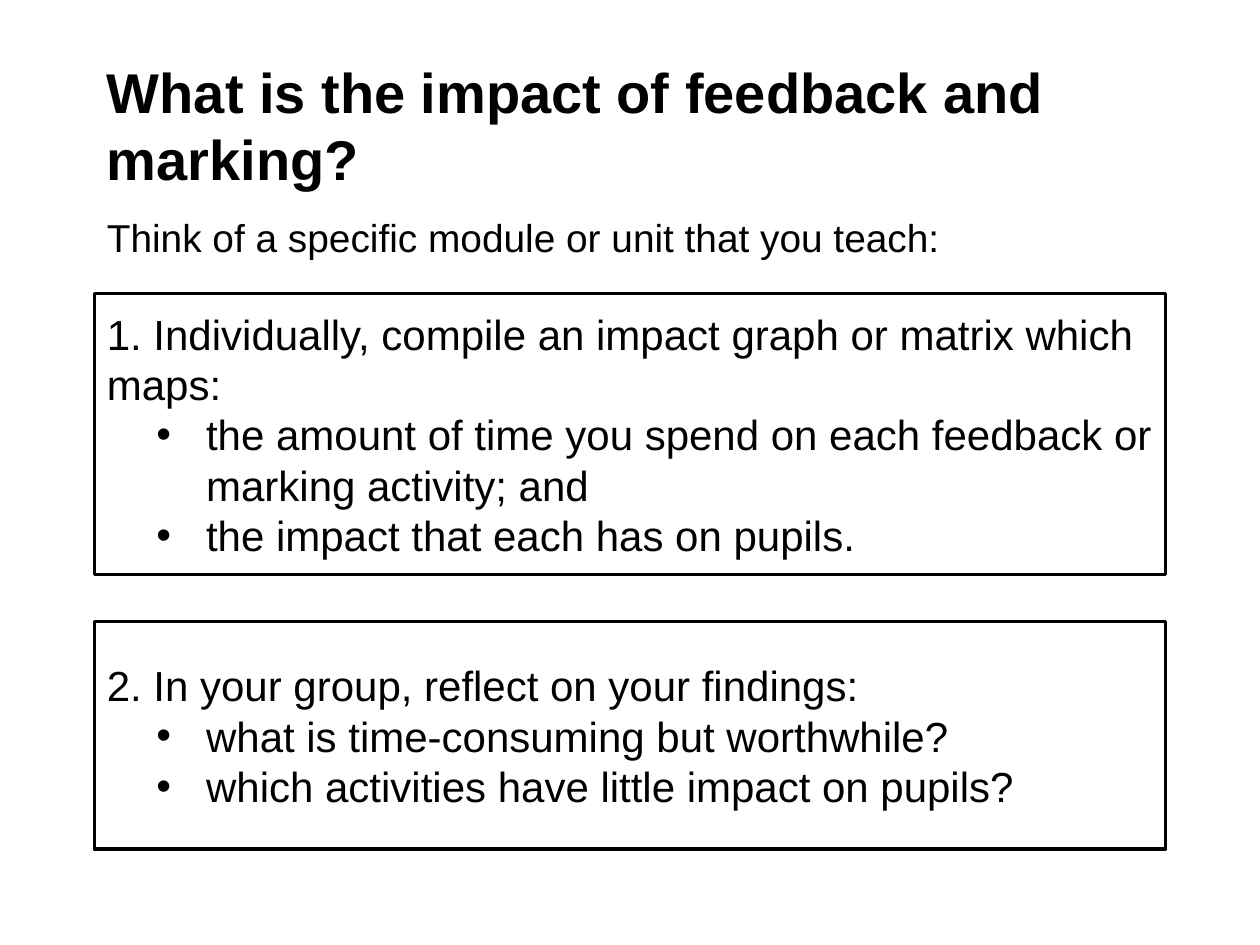
from lxml import etree
from pptx import Presentation
from pptx.dml.color import RGBColor
from pptx.enum.shapes import MSO_SHAPE
from pptx.enum.text import MSO_ANCHOR, PP_ALIGN
from pptx.oxml.ns import qn
from pptx.util import Pt

RECTANGLE = MSO_SHAPE.RECTANGLE
TOP, MIDDLE = MSO_ANCHOR.TOP, MSO_ANCHOR.MIDDLE
LEFT = PP_ALIGN.LEFT

COLORS = {"text": "000000", "border": "000000"}
FONT = "Arial"
MARGIN, WIDTH = 54, 612
BULLET_LEFT, BULLET_HANG = 56.7, 28.35


def add_bullet(p):
    p.level = 1
    pPr = p._p.get_or_add_pPr()
    pPr.set("marL", str(Pt(BULLET_LEFT)))
    pPr.set("indent", str(-Pt(BULLET_HANG)))
    color = etree.SubElement(pPr, qn("a:buClr"))
    etree.SubElement(color, qn("a:srgbClr")).set("val", COLORS["text"])
    etree.SubElement(pPr, qn("a:buFont")).set("typeface", FONT)
    etree.SubElement(pPr, qn("a:buChar")).set("char", "•")


def write(p, text, size=24, bold=False, bullet=False, spacing=None):
    p.alignment = LEFT
    if spacing:
        p.line_spacing = spacing
    if bullet:
        add_bullet(p)
    r = p.add_run()
    r.text = text
    r.font.name = FONT
    r.font.size = Pt(size)
    r.font.bold = bold
    r.font.color.rgb = RGBColor.from_string(COLORS["text"])


def add_text(s, box, text, anchor=TOP, **fmt):
    tf = s.shapes.add_textbox(*map(Pt, box)).text_frame
    tf.word_wrap = True
    tf.vertical_anchor = anchor
    write(tf.paragraphs[0], text, **fmt)


def add_task(s, box, lead, bullets):
    """Outlined box with a lead sentence and its bullet points."""
    sp = s.shapes.add_shape(RECTANGLE, *map(Pt, box))
    sp.shadow.inherit = False
    sp.fill.background()
    sp.line.color.rgb = RGBColor.from_string(COLORS["border"])
    sp.line.width = Pt(2)
    tf = sp.text_frame
    tf.word_wrap = True
    tf.vertical_anchor = MIDDLE
    write(tf.paragraphs[0], lead)
    for text in bullets:
        write(tf.add_paragraph(), text, bullet=True)


def main():
    prs = Presentation()
    prs.slide_width, prs.slide_height = Pt(720), Pt(540)
    s = prs.slides.add_slide(prs.slide_layouts[6])

    add_text(s, (MARGIN, 20.2, WIDTH, 102.2),
             "What is the impact of feedback and marking?",
             anchor=MIDDLE, size=32, bold=True)
    add_text(s, (MARGIN, 115.9, WIDTH, 43.2),
             "Think of a specific module or unit that you teach:",
             size=22.2, spacing=1.1)
    add_task(s, (MARGIN, 167.8, WIDTH, 160.6),
             "1. Individually, compile an impact graph or matrix which maps:",
             ["the amount of time you spend on each feedback or marking activity; and",
              "the impact that each has on pupils."])
    add_task(s, (MARGIN, 355, WIDTH, 130.3),
             "2. In your group, reflect on your findings:",
             ["what is time-consuming but worthwhile?",
              "which activities have little impact on pupils?"])

    prs.save("out.pptx")


if __name__ == "__main__":
    main()
